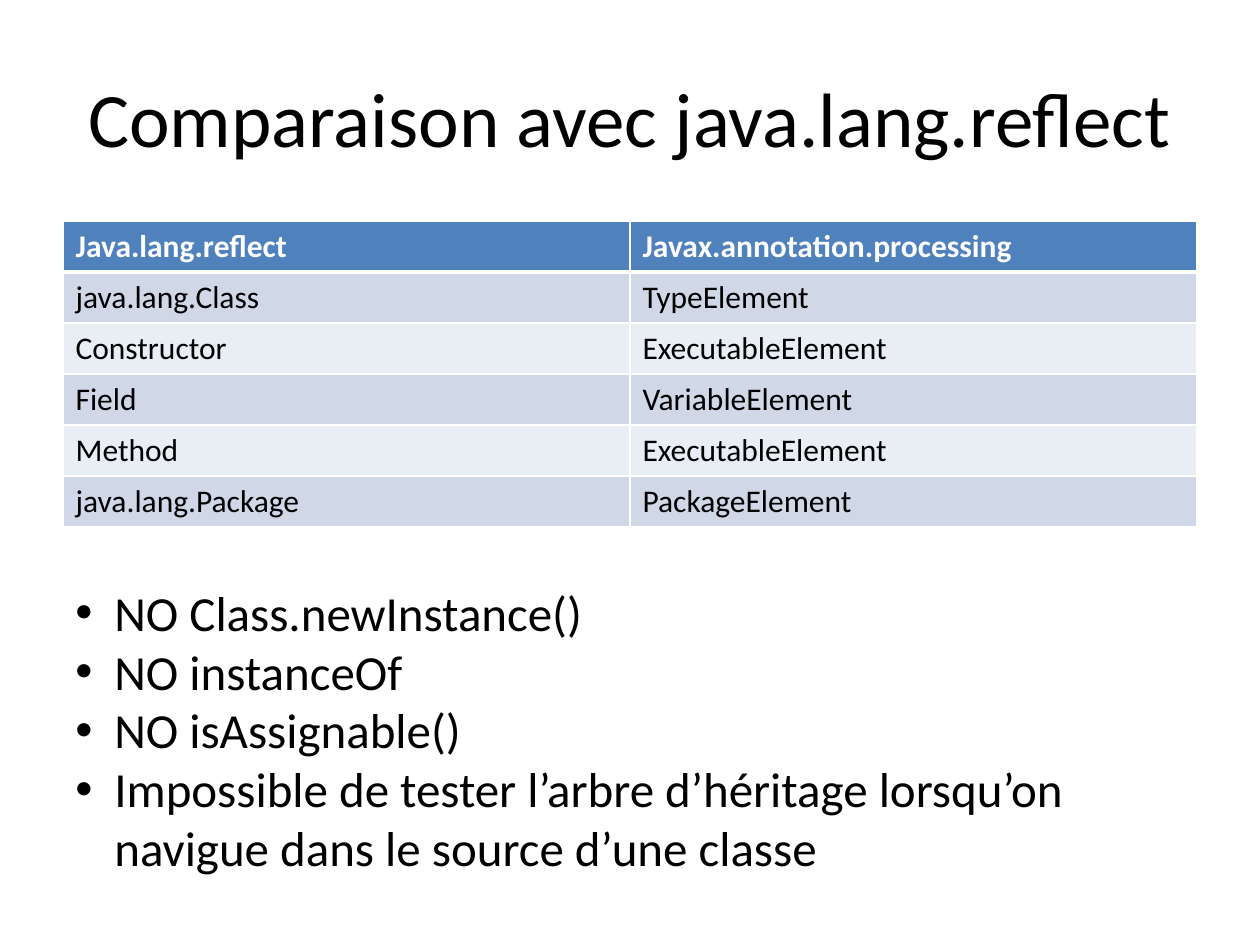
from lxml.etree import SubElement
from pptx import Presentation
from pptx.dml.color import RGBColor
from pptx.enum.text import MSO_ANCHOR, PP_ALIGN
from pptx.oxml.ns import qn
from pptx.util import Pt

PIXEL = 914400 // 126
LEFT, WIDTH = 63, 1134
ROW_HEIGHT = 51
INDENT = 39


def color(value):
    return RGBColor.from_string(value)


def write(paragraph, text, size, fill="000000", bold=False, align=PP_ALIGN.LEFT):
    paragraph.alignment = align
    run = paragraph.add_run()
    run.text = text
    run.font.name = "Calibri"
    run.font.size = Pt(size)
    run.font.bold = bold
    run.font.color.rgb = color(fill)


presentation = Presentation()
presentation.slide_width = 1260 * PIXEL
presentation.slide_height = 945 * PIXEL
slide = presentation.slides.add_slide(presentation.slide_layouts[6])

title = slide.shapes.add_textbox(LEFT * PIXEL, 38 * PIXEL, WIDTH * PIXEL, 157 * PIXEL)
title.text_frame.word_wrap = True
title.text_frame.vertical_anchor = MSO_ANCHOR.MIDDLE
write(title.text_frame.paragraphs[0], "Comparaison avec java.lang.reflect", 44, align=PP_ALIGN.CENTER)

rows = [
    ("Java.lang.reflect", "Javax.annotation.processing"),
    ("java.lang.Class", "TypeElement"),
    ("Constructor", "ExecutableElement"),
    ("Field", "VariableElement"),
    ("Method", "ExecutableElement"),
    ("java.lang.Package", "PackageElement"),
]
table = slide.shapes.add_table(
    len(rows), 2, LEFT * PIXEL, 221 * PIXEL, WIDTH * PIXEL, len(rows) * ROW_HEIGHT * PIXEL
).table
for row_index, texts in enumerate(rows):
    header = row_index == 0
    band = "4F81BD" if header else ("E9EDF4", "D0D8E8")[row_index % 2]
    borders = {"lnL": 1, "lnR": 1, "lnT": 3 if row_index == 1 else 1, "lnB": 3 if header else 1}
    table.rows[row_index].height = ROW_HEIGHT * PIXEL
    for column_index, text in enumerate(texts):
        cell = table.cell(row_index, column_index)
        write(cell.text_frame.paragraphs[0], text, 18, fill="FFFFFF" if header else "000000", bold=header)
        properties = cell._tc.get_or_add_tcPr()
        for side, points in borders.items():
            line = SubElement(properties, qn(f"a:{side}"), w=str(Pt(points)))
            SubElement(SubElement(line, qn("a:solidFill")), qn("a:srgbClr"), val="FFFFFF")
        cell.fill.solid()
        cell.fill.fore_color.rgb = color(band)

limits = [
    "NO Class.newInstance()",
    "NO instanceOf",
    "NO isAssignable()",
    "Impossible de tester l’arbre d’héritage lorsqu’on navigue dans le source d’une classe",
]
bullets = slide.shapes.add_textbox(LEFT * PIXEL, 576 * PIXEL, WIDTH * PIXEL, 310 * PIXEL)
frame = bullets.text_frame
frame.word_wrap = True
for index, text in enumerate(limits):
    paragraph = frame.add_paragraph() if index else frame.paragraphs[0]
    write(paragraph, text, 28)
    properties = paragraph._p.get_or_add_pPr()
    properties.set("marL", str(INDENT * PIXEL))
    properties.set("indent", str(-INDENT * PIXEL))
    SubElement(properties, qn("a:buFont"), typeface="Arial")
    SubElement(properties, qn("a:buChar"), char="•")

presentation.save("out.pptx")
